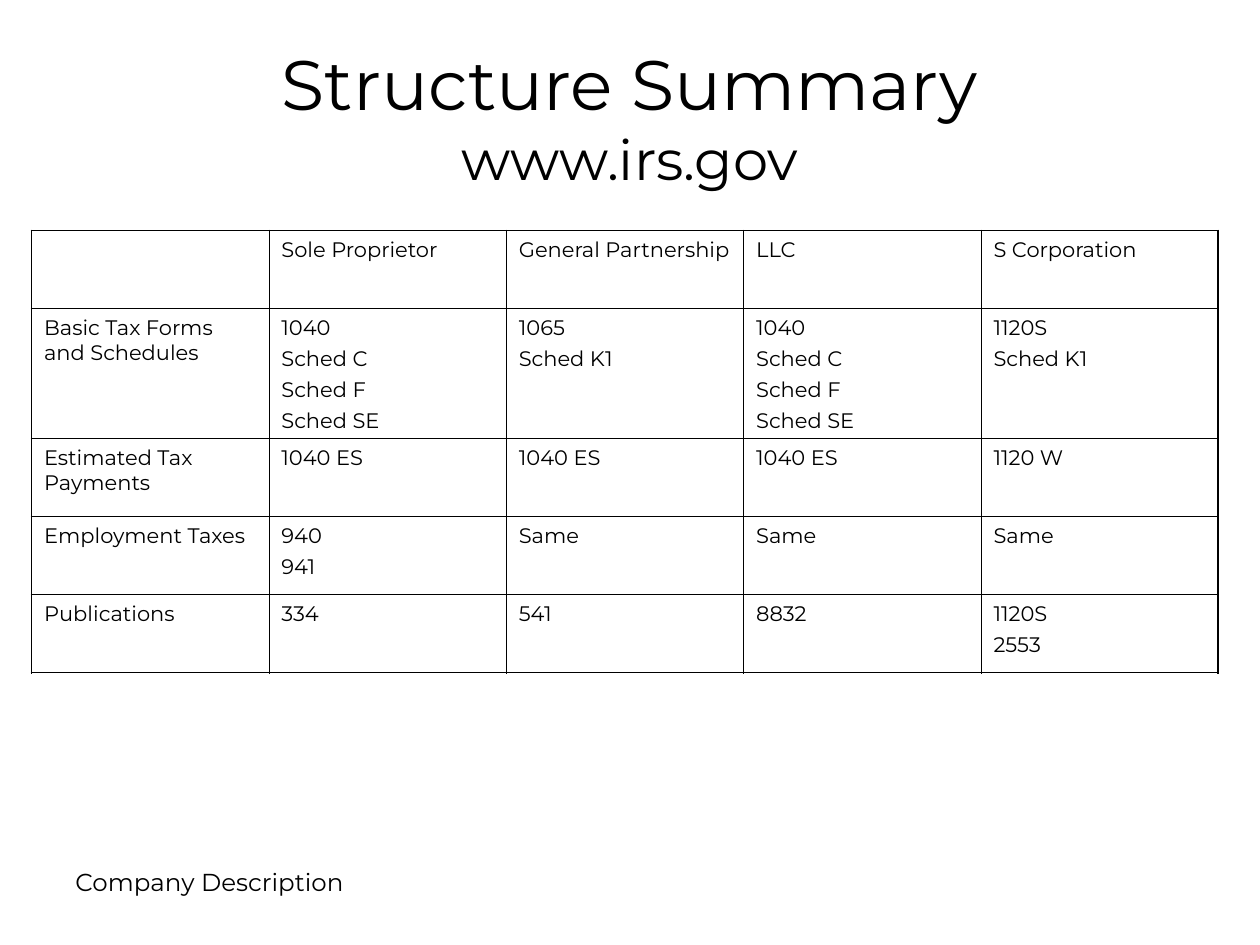
from lxml import etree
from pptx import Presentation, util as u
from pptx.dml.color import RGBColor
from pptx.enum import text
from pptx.oxml import ns

COLORS = {"ink": "000000", "paper": "FFFFFF"}
THIN, THICK = 0.45, 1.08

ROWS = [
    ["", "Sole Proprietor", "General Partnership", "LLC", "S Corporation"],
    ["Basic Tax Forms and Schedules", "1040\nSched C\nSched F\nSched SE", "1065\nSched K1",
     "1040\nSched C\nSched F\nSched SE", "1120S\nSched K1"],
    ["Estimated Tax Payments", "1040 ES", "1040 ES", "1040 ES", "1120 W"],
    ["Employment Taxes", "940\n941", "Same", "Same", "Same"],
    ["Publications", "334", "541", "8832", "1120S\n2553"],
]
ROW_HEIGHTS = [0.62, 1.03, 0.62, 0.62, 0.62]
TABLE_WIDTH = 9.42


class SlideBuilder:
    font = "Montserrat"

    def __init__(self, slide):
        self.slide = slide
        fill = slide.background.fill
        fill.solid()
        fill.fore_color.rgb = RGBColor.from_string(COLORS["paper"])

    def add_run(self, paragraph, words, size):
        run = paragraph.add_run()
        run.text = words
        run.font.name = self.font
        run.font.size = u.Pt(size)
        run.font.color.rgb = RGBColor.from_string(COLORS["ink"])

    def add_text(self, left, top, width, height, lines, anchor=text.MSO_ANCHOR.TOP,
                 align=text.PP_ALIGN.LEFT):
        """Add a text box from (words, size) lines kept in one paragraph."""
        shape = self.slide.shapes.add_textbox(*map(u.Inches, (left, top, width, height)))
        frame = shape.text_frame
        frame.word_wrap = True
        frame.vertical_anchor = anchor
        paragraph = frame.paragraphs[0]
        paragraph.alignment = align
        for index, (words, size) in enumerate(lines):
            if index:
                paragraph.add_line_break()
            self.add_run(paragraph, words, size)

    def add_table(self, left, top, width, row_heights, rows, size):
        row_count, column_count = len(rows), len(rows[0])
        table = self.slide.shapes.add_table(
            row_count, column_count, u.Inches(left), u.Inches(top),
            u.Inches(width), u.Inches(sum(row_heights))).table
        table.first_row = table.horz_banding = False
        for row, height in zip(table.rows, row_heights):
            row.height = u.Inches(height)
        for r, row in enumerate(rows):
            for c, words in enumerate(row):
                cell = table.cell(r, c)
                self.set_borders(cell, {
                    "L": c == 0, "R": c == column_count - 1,
                    "T": r == 0, "B": r == row_count - 1})
                cell.fill.background()
                if words:
                    self.fill_cell(cell, words, size)

    def fill_cell(self, cell, words, size):
        frame = cell.text_frame
        for index, line in enumerate(words.split("\n")):
            paragraph = frame.add_paragraph() if index else frame.paragraphs[0]
            paragraph.space_before = u.Pt(3)
            self.add_run(paragraph, line, size)

    def set_borders(self, cell, outer_sides):
        """Draw thick lines on the table's outer sides and thin lines elsewhere."""
        properties = cell._tc.get_or_add_tcPr()
        for side, is_outer in outer_sides.items():
            width = u.Pt(THICK if is_outer else THIN)
            line = etree.SubElement(properties, ns.qn(f"a:ln{side}"), w=str(int(width)))
            fill = etree.SubElement(line, ns.qn("a:solidFill"))
            etree.SubElement(fill, ns.qn("a:srgbClr"), val=COLORS["ink"])


def main():
    presentation = Presentation()
    presentation.slide_width, presentation.slide_height = u.Inches(10), u.Inches(7.5)
    builder = SlideBuilder(presentation.slides.add_slide(presentation.slide_layouts[6]))
    builder.add_text(0.5, 6.83, 2.5, 0.52, [("Company Description", 14)])
    builder.add_text(0.5, 0.3, 9, 1.25, [("Structure Summary", 40), ("www.irs.gov", 32)],
                     text.MSO_ANCHOR.MIDDLE, text.PP_ALIGN.CENTER)
    builder.add_table(0.25, 1.83, TABLE_WIDTH, ROW_HEIGHTS, ROWS, 12)
    presentation.save("out.pptx")


if __name__ == "__main__":
    main()
